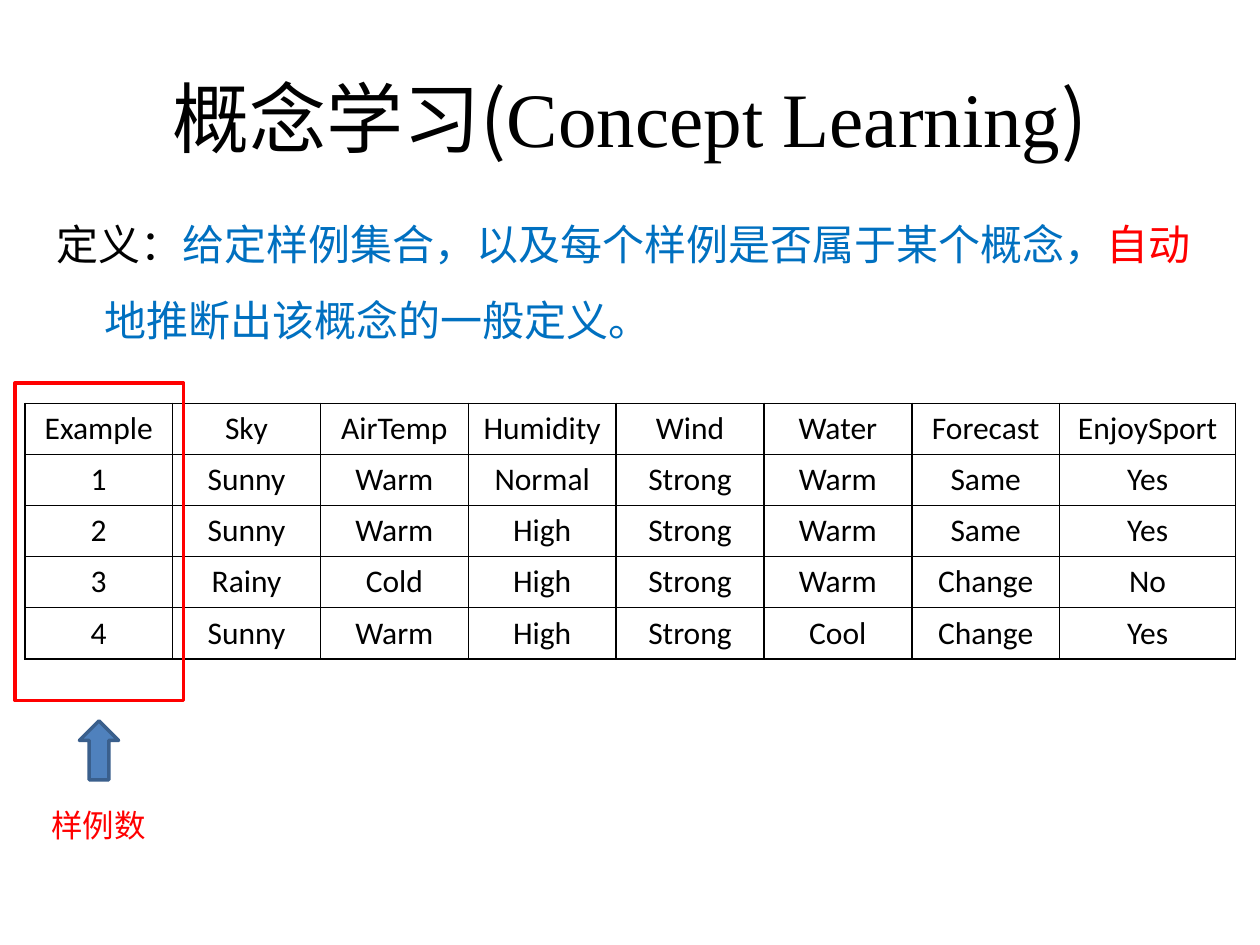
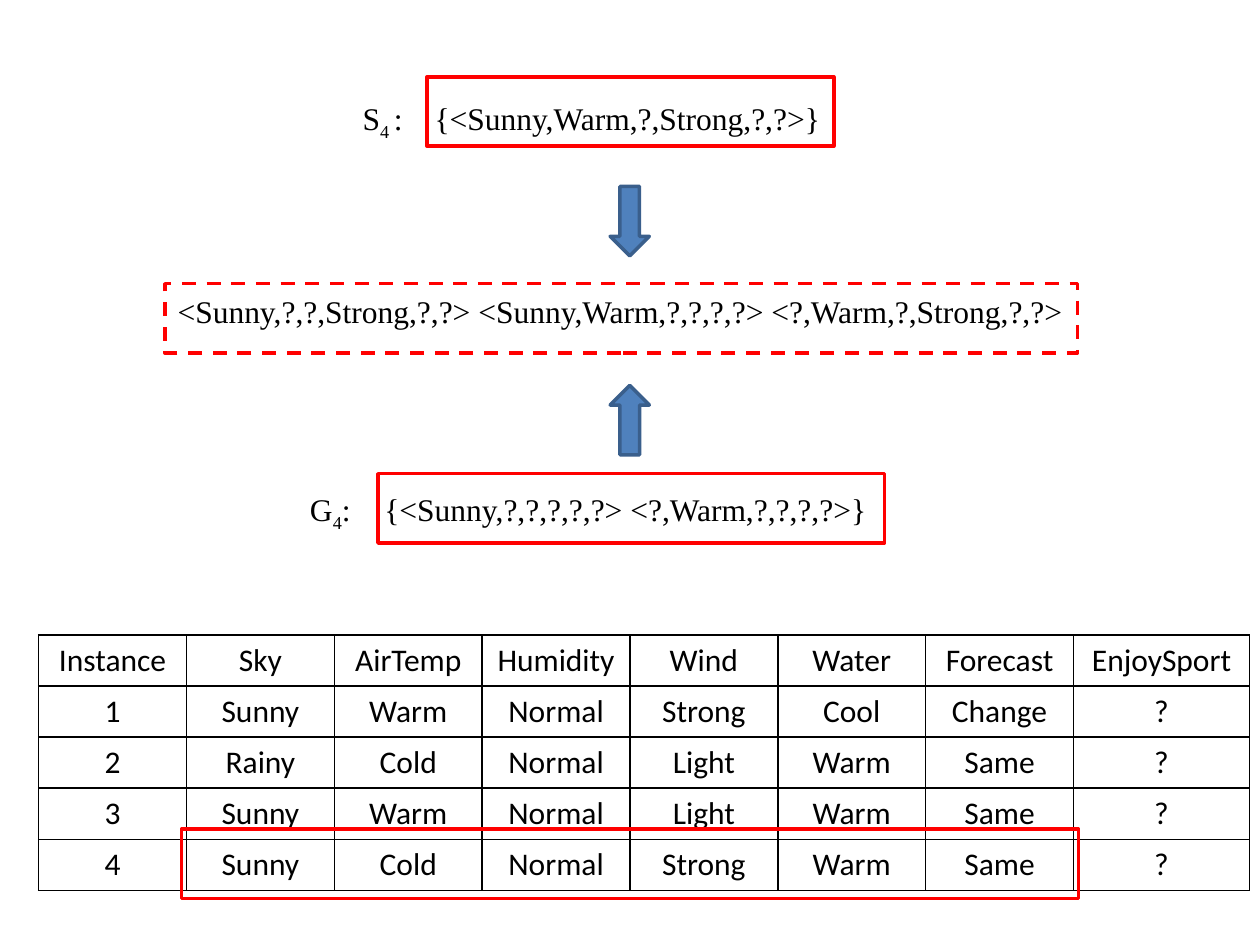
from dataclasses import dataclass

from lxml.etree import SubElement
from pptx import Presentation
from pptx.dml.color import RGBColor as RGB
from pptx.enum.dml import MSO_LINE_DASH_STYLE as DASH
from pptx.enum.shapes import MSO_SHAPE as SHAPE
from pptx.enum.text import MSO_ANCHOR as ANCHOR, PP_ALIGN as ALIGN
from pptx.oxml.ns import qn
from pptx.util import Cm, Pt


@dataclass(frozen=True)
class Theme:
    ink: str = "000000"
    blue: str = "0070C0"
    red: str = "FF0000"
    arrow_fill: str = "4F81BD"
    arrow_line: str = "3A5F8C"
    cjk: str = "Noto Sans CJK SC"
    serif: str = "Times New Roman"
    sans: str = "Calibri"
    title: int = 44
    body: int = 24
    small: int = 18
    frame: int = 2
    grid: int = 1


T = Theme()
ATTRIBUTES = ["Sky", "AirTemp", "Humidity", "Wind", "Water", "Forecast", "EnjoySport"]


class Deck:
    """Holds the presentation, its style and the current slide."""

    def __init__(self, theme):
        self.t = theme
        self.prs = Presentation()
        self.prs.slide_width, self.prs.slide_height = Cm(25.4), Cm(19.05)
        self.s = None

    def slide(self):
        self.s = self.prs.slides.add_slide(self.prs.slide_layouts[6])

    def style(self, r, size, font, color):
        r.font.size, r.font.name = Pt(size), font
        r.font.color.rgb = RGB.from_string(color)
        SubElement(r._r.get_or_add_rPr(), qn("a:ea"), typeface=self.t.cjk)

    def text(self, box, runs, size, align=ALIGN.CENTER, anchor=ANCHOR.TOP):
        """Runs are (text, font, colour) tuples; returns the paragraph."""
        tf = self.s.shapes.add_textbox(*map(Cm, box)).text_frame
        tf.word_wrap, tf.vertical_anchor = True, anchor
        p = tf.paragraphs[0]
        p.alignment = align
        for words, font, color in runs:
            r = p.add_run()
            r.text = words
            self.style(r, size, font, color)
        return p

    def hang(self, p, margin, indent):
        pPr = p._p.get_or_add_pPr()
        pPr.set("marL", str(Cm(margin)))
        pPr.set("indent", str(Cm(-indent)))

    def boundary(self, box, letter, index, rest, margin, indent):
        """Hypothesis set with a subscripted label and a hanging indent."""
        runs = [(words, self.t.serif, self.t.ink) for words in (letter, index, rest)]
        p = self.text(box, runs, self.t.small, ALIGN.LEFT)
        p.runs[1]._r.get_or_add_rPr().set("baseline", "-25000")
        self.hang(p, margin, indent)

    def shape(self, kind, box, line):
        sp = self.s.shapes.add_shape(kind, *map(Cm, box))
        sp.shadow.inherit = False
        sp.line.color.rgb = RGB.from_string(line)
        sp.line.width = Pt(self.t.frame)
        return sp

    def frame(self, box, dashed=False):
        sp = self.shape(SHAPE.RECTANGLE, box, self.t.red)
        sp.fill.background()
        if dashed:
            sp.line.dash_style = DASH.DASH

    def arrow(self, left, top, height, up=False):
        sp = self.shape(SHAPE.DOWN_ARROW, (left, top, 0.79, height), self.t.arrow_line)
        sp.fill.solid()
        sp.fill.fore_color.rgb = RGB.from_string(self.t.arrow_fill)
        sp.rotation = 180 if up else 0

    def table(self, left, top, rows):
        widths = [2.98] * 7 + [3.55]
        row_height = 1.03
        table = self.s.shapes.add_table(
            len(rows), len(widths), Cm(left), Cm(top),
            Cm(sum(widths)), Cm(row_height * len(rows))).table
        table.first_row = table.horz_banding = False
        for column, width in zip(table.columns, widths):
            column.width = Cm(width)
        for i, row in enumerate(rows):
            table.rows[i].height = Cm(row_height)
            for j, words in enumerate(row):
                self.cell(table.cell(i, j), words)

    def cell(self, cell, words):
        cell.text_frame.text = words
        cell.vertical_anchor = ANCHOR.MIDDLE
        p = cell.text_frame.paragraphs[0]
        p.alignment = ALIGN.CENTER
        self.style(p.runs[0], self.t.small, self.t.sans, self.t.ink)
        # Borders come before the fill in the cell properties
        for side in ("a:lnL", "a:lnR", "a:lnT", "a:lnB"):
            ln = SubElement(cell._tc.get_or_add_tcPr(), qn(side), w=str(Pt(self.t.grid)))
            fill = SubElement(ln, qn("a:solidFill"))
            SubElement(fill, qn("a:srgbClr"), val=self.t.ink)
        cell.fill.background()


def concept_learning(d):
    d.slide()
    # Title and definition
    d.text((1.27, 0.76, 22.86, 3.18),
           [("概念学习(", T.cjk, T.ink), ("Concept Learning", T.serif, T.ink),
            (")", T.cjk, T.ink)], T.title, anchor=ANCHOR.MIDDLE)
    p = d.text((0.89, 3.78, 23.6, 14.35),
               [("定义：", T.serif, T.ink),
                ("给定样例集合，以及每个样例是否属于某个概念，", T.serif, T.blue),
                ("自动", T.serif, T.red),
                ("地推断出该概念的一般定义。", T.serif, T.blue)], T.body, ALIGN.LEFT)
    p.line_spacing, p.space_before, p.space_after = 1.5, Pt(4.8), Pt(10)
    d.hang(p, 0.97, 0.97)
    # Training examples
    d.table(0.5, 8.13, [
        ["Example"] + ATTRIBUTES,
        ["1", "Sunny", "Warm", "Normal", "Strong", "Warm", "Same", "Yes"],
        ["2", "Sunny", "Warm", "High", "Strong", "Warm", "Same", "Yes"],
        ["3", "Rainy", "Cold", "High", "Strong", "Warm", "Change", "No"],
        ["4", "Sunny", "Warm", "High", "Strong", "Cool", "Change", "Yes"],
    ])
    # Example count callout
    d.frame((0.3, 7.72, 3.4, 6.4))
    d.arrow(1.6, 14.53, 1.19, up=True)
    d.text((0.13, 16.13, 3.71, 1.02), [("样例数", T.cjk, T.red)], T.small)


def version_space(d):
    d.slide()
    # New instances
    d.table(0.78, 12.8, [
        ["Instance"] + ATTRIBUTES,
        ["1", "Sunny", "Warm", "Normal", "Strong", "Cool", "Change", "?"],
        ["2", "Rainy", "Cold", "Normal", "Light", "Warm", "Same", "?"],
        ["3", "Sunny", "Warm", "Normal", "Light", "Warm", "Same", "?"],
        ["4", "Sunny", "Cold", "Normal", "Strong", "Warm", "Same", "?"],
    ])
    # General boundary
    d.arrow(12.3, 7.77, 1.4, up=True)
    d.boundary((3.66, 9.75, 16.21, 1.02), "G", "4",
               ":\t{<Sunny,?,?,?,?,?> <?,Warm,?,?,?,?>}", 3.84, 1.5)
    d.frame((7.62, 9.55, 10.21, 1.4))
    # Specific boundary
    d.boundary((3.84, 1.88, 16.21, 1.02), "S", "4 ",
               ":\t{<Sunny,Warm,?,Strong,?,?>}", 4.67, 1.45)
    d.frame((8.61, 1.55, 8.2, 1.4))
    d.arrow(12.3, 3.76, 1.4)
    # Hypotheses in between
    d.text((3.33, 5.77, 18.8, 1.02),
           [("<Sunny,?,?,Strong,?,?> <Sunny,Warm,?,?,?,?> <?,Warm,?,Strong,?,?>",
             T.serif, T.ink)], T.small, ALIGN.LEFT)
    d.frame((3.33, 5.72, 18.39, 1.4), dashed=True)
    # Instance to classify
    d.frame((3.66, 16.71, 18.08, 1.4))


def main():
    d = Deck(T)
    concept_learning(d)
    version_space(d)
    d.prs.save("out.pptx")


if __name__ == "__main__":
    main()
